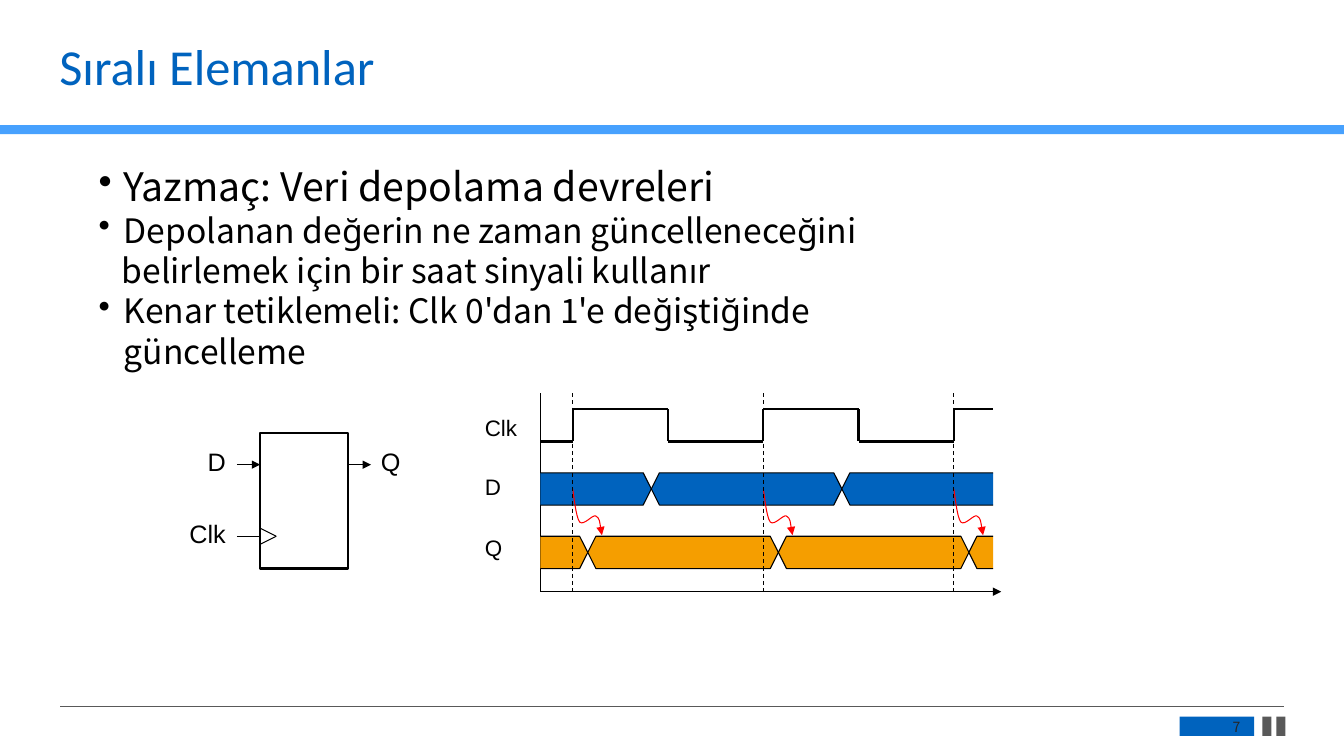
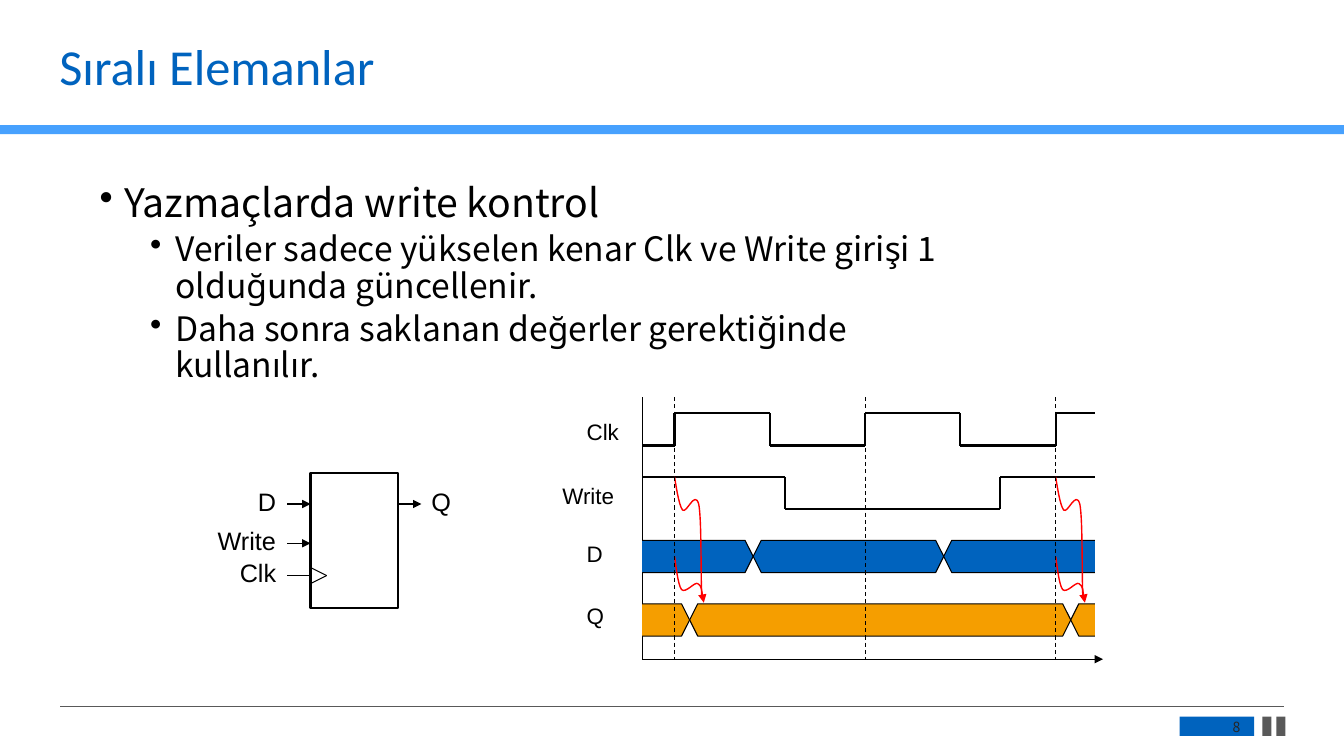
from itertools import pairwise

from lxml.etree import SubElement
from pptx import Presentation
from pptx.dml.color import RGBColor
from pptx.enum.dml import MSO_LINE
from pptx.enum.shapes import MSO_CONNECTOR, MSO_SHAPE
from pptx.enum.text import MSO_ANCHOR, PP_ALIGN
from pptx.oxml.ns import qn
from pptx.util import Inches, Pt

BLUE = RGBColor(0x00, 0x63, 0xBE)
SKY = RGBColor(0x47, 0xA1, 0xFE)
ORANGE = RGBColor(0xF5, 0x9E, 0x00)
RED = RGBColor(0xFF, 0x00, 0x00)
GRAY = RGBColor(0x59, 0x59, 0x59)
DARK = RGBColor(0x26, 0x26, 0x26)
BLACK = RGBColor(0x00, 0x00, 0x00)

HEAD, BODY, LABEL = "Calibri", "Noto Sans CJK SC", "Arial"

# Timing chart, in inches
ROW = 0.63
HIGH = 0.32
NOTCH = 0.08
HALF = 0.945
SPAN = 4.49
EDGES = [0.32 + 2 * HALF * i for i in range(3)]
D_CUTS = [1.1, 2.99]
DELAY = 0.15

# Text widths of the signal names at 18 pt
WIDE = {"D": 0.18, "Q": 0.2, "Clk": 0.36, "Write": 0.58}

# Bezier points relative to the start of each red arrow
SHORT = [(0, 0), (0.01, 0.05), (0.03, 0.28), (0.07, 0.33),
         (0.11, 0.37), (0.2, 0.25), (0.23, 0.27),
         (0.27, 0.29), (0.28, 0.42), (0.29, 0.46)]
LONG = [(0, 0), (0.01, 0.05), (0.04, 0.28), (0.08, 0.33),
        (0.12, 0.37), (0.2, 0.13), (0.24, 0.27),
        (0.27, 0.41), (0.26, 1), (0.27, 1.19)]


class Deck:
    def __init__(self):
        self.prs = Presentation()
        self.prs.slide_width = Inches(13.33)
        self.prs.slide_height = Inches(7.5)

    def start(self, title, page):
        """Add a slide with its title, bands and page number."""
        slide = self.prs.slides.add_slide(self.prs.slide_layouts[6])
        self.shapes = slide.shapes
        self.rect(0, 1.24, 13.33, 0.09, SKY)
        self.line((0.6, 7.01), (12.73, 7.01), 0.5, GRAY)
        for left, width, fill in [(11.7, 0.74, BLUE), (12.52, 0.09, GRAY),
                                  (12.66, 0.09, GRAY)]:
            self.rect(left, 7.11, width, 0.19, fill)
        para = self.text(title, 0.49, 0.37, 12.18, 0.64, 36, HEAD, BLUE)
        para.line_spacing = 0.9
        para = self.text(str(page), 11.74, 7.13, 0.66, 0.17, 10, BODY, DARK)
        para.alignment = PP_ALIGN.RIGHT

    def rect(self, left, top, width, height, fill=None):
        """Draw a filled bar, or an outlined box when there is no fill."""
        box = self.shapes.add_shape(MSO_SHAPE.RECTANGLE, Inches(left),
                                    Inches(top), Inches(width), Inches(height))
        box.shadow.inherit = False
        if fill is None:
            box.fill.background()
            self.stroke(box, 1.5)
        else:
            box.fill.solid()
            box.fill.fore_color.rgb = fill
            box.line.fill.background()

    def stroke(self, shape, width, color=BLACK, arrow=False):
        shape.line.color.rgb = color
        shape.line.width = Pt(width)
        if arrow:
            SubElement(shape.element.spPr.find(qn("a:ln")), qn("a:tailEnd"),
                       type="triangle")

    def line(self, start, end, width=0.75, color=BLACK, arrow=False,
             dash=False):
        link = self.shapes.add_connector(
            MSO_CONNECTOR.STRAIGHT, *map(Inches, (*start, *end)))
        if dash:
            link.line.dash_style = MSO_LINE.DASH
        self.stroke(link, width, color, arrow)
        SubElement(link.element.spPr, qn("a:effectLst"))

    def wave(self, points):
        for start, end in pairwise(points):
            self.line(start, end, 1.5)

    def outline(self, points, close=False):
        spots = [(Inches(x), Inches(y)) for x, y in points]
        pen = self.shapes.build_freeform(*spots[0])
        pen.add_line_segments(spots[1:], close=close)
        shape = pen.convert_to_shape()
        shape.shadow.inherit = False
        return shape

    def curve(self, left, top, points, width, arrow=True):
        shape = self.outline([(left + x, top + y) for x, y in points])
        shape.fill.background()
        self.stroke(shape, width, RED, arrow)
        track = next(shape.element.iter(qn("a:path")))
        steps = track.findall(qn("a:lnTo"))
        for i in range(0, len(steps), 3):
            bend = SubElement(track, qn("a:cubicBezTo"))
            for step in steps[i:i + 3]:
                bend.append(step[0])
                track.remove(step)

    def bus(self, left, top, cuts, fill):
        """Draw a data band that crosses over at each cut."""
        right, mid, low = left + SPAN, top + HIGH / 2, top + HIGH
        ends = [left, *(left + cut for cut in cuts), right]
        for a, b in pairwise(ends):
            if a == left:
                points = [(a, top), (b - NOTCH, top), (b, mid),
                          (b - NOTCH, low), (a, low)]
            elif b == right:
                points = [(b, top), (a + NOTCH, top), (a, mid),
                          (a + NOTCH, low), (b, low)]
            else:
                points = [(a, mid), (a + NOTCH, top), (b - NOTCH, top),
                          (b, mid), (b - NOTCH, low), (a + NOTCH, low)]
            band = self.outline(points, close=a != left and b != right)
            band.fill.solid()
            band.fill.fore_color.rgb = fill
            self.stroke(band, 0.75)

    def text(self, words, left, top, width, height, size, font, color=BLACK,
             wrap=True):
        box = self.shapes.add_textbox(Inches(left), Inches(top),
                                      Inches(width), Inches(height))
        frame = box.text_frame
        frame.word_wrap = wrap
        frame.vertical_anchor = MSO_ANCHOR.MIDDLE
        frame.text = words
        self.style(frame.paragraphs[0], size, font, color)
        return frame.paragraphs[0]

    def style(self, para, size, font, color):
        for run in para.runs:
            run.font.size = Pt(size)
            run.font.name = font
            run.font.color.rgb = color

    def label(self, name, left, top, size):
        self.text(name, left, top, self.width(name, size), 0.1 + size / 60,
                  size, LABEL, wrap=False)

    def width(self, name, size):
        return 0.2 + WIDE[name] * size / 18

    def bullets(self, left, top, height, items):
        """Items hold text, size, indent, line spacing, space before, bullet."""
        box = self.shapes.add_textbox(Inches(left), Inches(top), Inches(9.05),
                                      Inches(height))
        frame = box.text_frame
        frame.word_wrap = True
        frame.text = "\n".join(item[0] for item in items)
        for para, item in zip(frame.paragraphs, items):
            _, size, indent, space, before, dot = item
            self.style(para, size, BODY, BLACK)
            para.line_spacing = space
            para.space_before = Pt(before)
            props = para._p.get_or_add_pPr()
            props.set("marL", str(Inches(indent)))
            if dot:
                props.set("indent", str(Inches(-0.25)))
                SubElement(props, qn("a:buChar"), char="•")

    def register(self, left, top, pins):
        """Draw a register; pins maps each input to its drop from the top."""
        right, wire = left + 0.87, 0.23
        self.rect(left, top, 0.87, 1.34)
        for name, drop in pins.items():
            y, clock = top + drop, name == "Clk"
            self.line((left - wire, y), (left, y), 0.75 if clock else 1,
                      arrow=not clock)
            self.label(name, left - 0.24 - self.width(name, 18), y - 0.23, 18)
            if clock:
                for side in (-0.08, 0.08):
                    self.line((left, y + side), (left + 0.16, y))
        y = top + pins["D"]
        self.line((right, y), (right + wire, y), 1, arrow=True)
        self.label("Q", right + wire, y - 0.23, 18)

    def timing(self, left, top, cuts, write=None):
        """Draw the signals; write lists where the Write signal flips."""
        right = left + SPAN
        data = top + ROW * (2 if write else 1)
        out = data + ROW
        base = out + 0.55

        points = [(left, top + HIGH)]
        for i in range(5):
            x = left + EDGES[0] + HALF * i
            y = top if i % 2 == 0 else top + HIGH
            points += [(x, points[-1][1]), (x, y)]
        self.wave([*points, (right, top)])

        names = [("Clk", top), ("D", data - 0.05), ("Q", out - 0.07)]
        for name, y in names:
            self.label(name, left - 0.65, y, 16)
        self.line((left, base), (left + 4.57, base), arrow=True)
        self.line((left, base), (left, top - 0.16))
        self.bus(left, data, D_CUTS, BLUE)
        self.bus(left, out, cuts, ORANGE)

        if write:
            high, low = top + ROW, top + ROW + HIGH
            fall, rise = (left + x for x in write)
            self.wave([(left, high), (fall, high), (fall, low), (rise, low),
                       (rise, high), (right, high)])
            self.label("Write", left - 0.89, high, 16)
        for cut in cuts:
            x = left + cut - DELAY
            self.curve(x, data + HIGH / 2, SHORT, 1 if write else 0.75)
            if write:
                self.curve(x, top + ROW, LONG, 1, arrow=False)
        for edge in EDGES:
            self.line((left + edge, top - 0.16), (left + edge, base),
                      dash=True)


def main():
    deck = Deck()
    title = "Sıralı Elemanlar"
    cuts = [edge + DELAY for edge in EDGES]

    deck.start(title, 7)
    deck.register(2.58, 4.3, {"D": 0.31, "Clk": 1.02})
    deck.timing(5.36, 4.06, cuts)
    deck.bullets(0.88, 1.61, 3.02, [
        ("Yazmaç: Veri depolama devreleri", 28, 0.25, 0.9, 10, True),
        ("Depolanan değerin ne zaman güncelleneceğini", 24, 0.25, 1, 0, True),
        ("belirlemek için bir saat sinyali kullanır", 24, 0.23, 1, 0, False),
        ("Kenar tetiklemeli: Clk 0'dan 1'e değiştiğinde\vgüncelleme",
         24, 0.25, 1, 0, True),
    ])

    deck.start(title, 8)
    deck.register(3.08, 4.69, {"D": 0.31, "Write": 0.7, "Clk": 1.02})
    deck.timing(6.37, 4.1, [cuts[0], cuts[2]], write=(1.42, 3.55))
    deck.bullets(0.89, 1.77, 2.52, [
        ("Yazmaçlarda write kontrol", 28, 0.25, 0.9, 10, True),
        ("Veriler sadece yükselen kenar Clk ve Write girişi 1 olduğunda "
         "güncellenir.", 24, 0.75, 0.9, 5, True),
        ("Daha sonra saklanan değerler gerektiğinde kullanılır.",
         24, 0.75, 0.9, 5, True),
    ])
    deck.prs.save("out.pptx")


if __name__ == "__main__":
    main()
